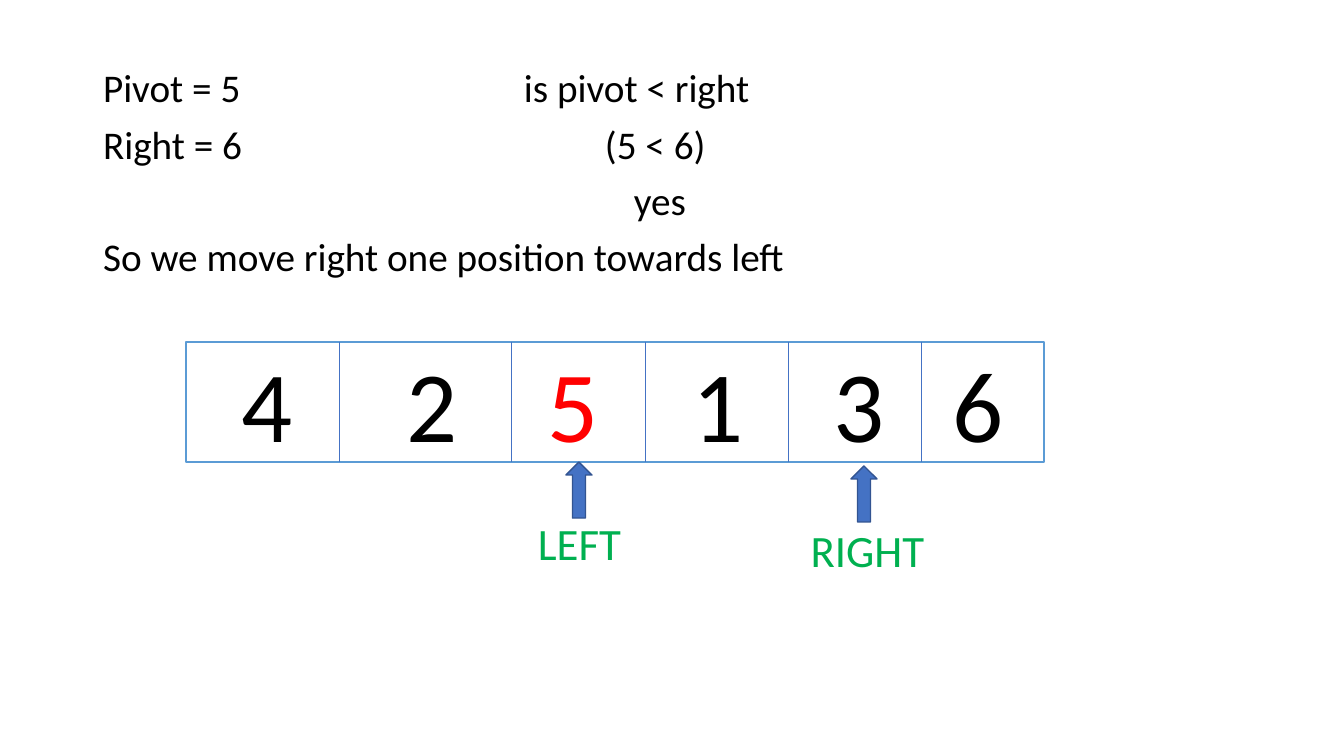
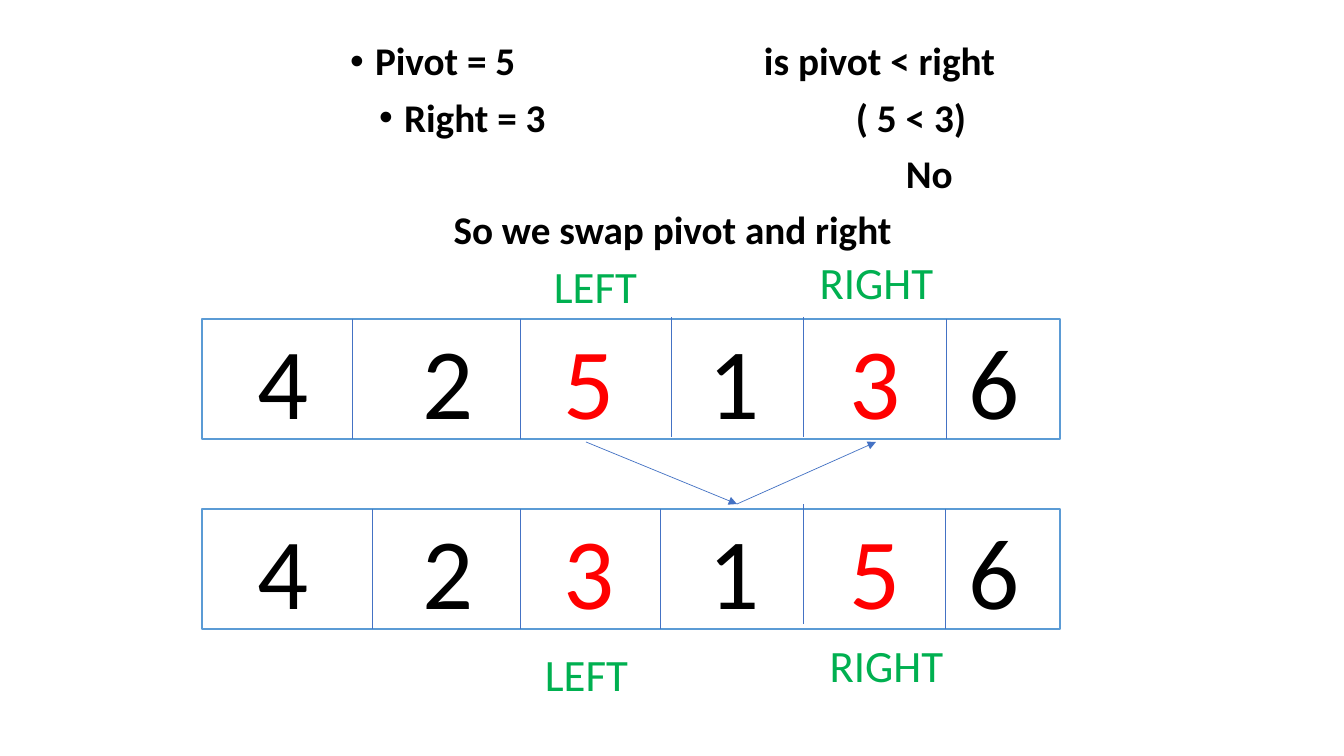
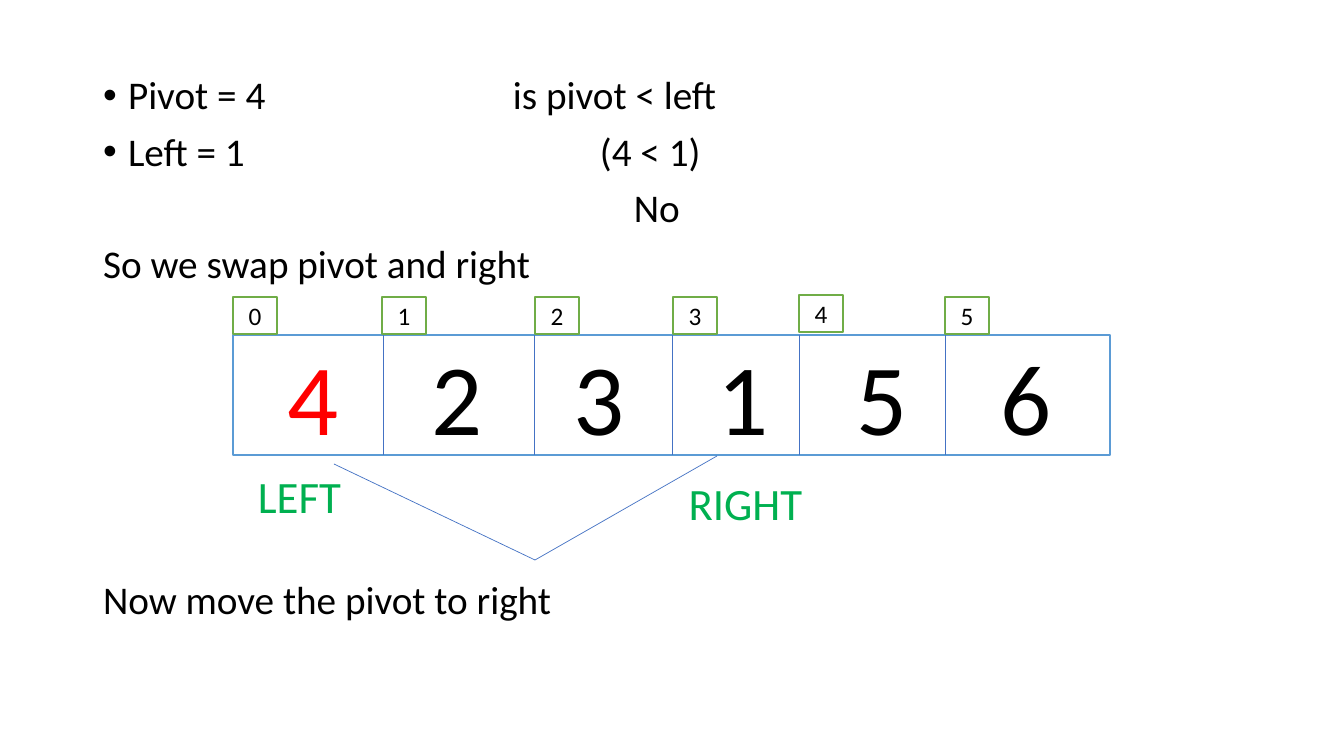
from lxml.etree import SubElement
from pptx import Presentation
from pptx.dml.color import RGBColor
from pptx.enum.shapes import MSO_CONNECTOR, MSO_SHAPE
from pptx.enum.text import MSO_ANCHOR, MSO_AUTO_SIZE, PP_ALIGN
from pptx.oxml.ns import qn
from pptx.util import Emu, Pt

FONT = "Calibri"
BLACK, WHITE, RED, GREEN = "000000", "FFFFFF", "FF0000", "00B050"
BLUE, NAVY, SKY, LEAF = "4472C4", "325491", "5B9BD5", "70AD47"
PITCH = 40  # points from one line of the text to the next
INSET = 10
HIGH = 120  # height of an array
WIDE = {"LEFT": 129, "RIGHT": 159}
SPOTS = [81, 246, 387, 532, 673, 792]  # digit centres in an array
rgb = RGBColor.from_string


def px(n):
    return Emu(round(n * 914400 / 100.8))


def write(par, text, size, hue=BLACK, align=PP_ALIGN.LEFT, bold=False):
    par.text = text
    par.alignment = align
    font = par.font
    font.name, font.size, font.bold = FONT, Pt(size), bold
    font.color.rgb = rgb(hue)


# rows: text, indent, bullet, lines skipped above
# arrays: left, top, width, digits, red digits, digit centres, dividers (x, lift)
# labels: word, centre, top
slides = [
    dict(
        top=64, bold=False, last=PP_ALIGN.LEFT,
        rows=[("Pivot = 5", 0, False, 0), ("Right = 6", 0, False, 0),
              ("So we move right one position towards left", 0, False, 1)],
        ask=514,
        test=[("is pivot < right", 0), ("(5 < 6)", 81), ("yes", 110)],
        arrays=[(186, 342, 858, "425136", "5", SPOTS,
                 [(339, 0), (511, 0), (645, 0), (788, 0), (921, 0)])],
        labels=[("LEFT", 579, 511), ("RIGHT", 867, 518)],
        marks=[(566, 462), (851, 466)], tags=[], bend=[], tips=False),
    dict(
        top=37, bold=True, last=PP_ALIGN.CENTER,
        rows=[("Pivot = 5", 272, True, 0), ("Right = 3", 301, True, 0),
              ("So we swap pivot and right", 0, False, 1)],
        ask=754,
        test=[("is pivot < right", 0), ("( 5 < 3)", 92), ("No", 142)],
        arrays=[(202, 319, 858, "425136", "53", SPOTS,
                 [(352, 0), (520, 0), (671, 2), (803, 2), (946, 0)]),
                (202, 509, 858, "423156", "35", SPOTS,
                 [(372, 0), (520, 0), (660, 0), (803, 5), (945, 0)])],
        labels=[("LEFT", 595, 254), ("RIGHT", 876, 250),
                ("LEFT", 586, 642), ("RIGHT", 886, 633)],
        marks=[], tags=[],
        bend=[(586, 442), (737, 504), (876, 442)], tips=True),
    dict(
        top=71, bold=False, last=PP_ALIGN.LEFT,
        rows=[("Pivot = 4", 25, True, 0), ("Left = 1", 25, True, 0),
              ("So we swap pivot and right", 0, False, 1),
              ("Now move the pivot to right", 0, False, 5)],
        ask=503,
        test=[("is pivot < left", 0), ("(4 < 1)", 87), ("No", 121)],
        arrays=[(233, 335, 877, "423156", "4", [80, 224, 366, 510, 649, 793],
                 [(383, 0), (534, 0), (672, 0), (799, 0), (945, 0)])],
        labels=[("LEFT", 299, 464), ("RIGHT", 745, 471)],
        marks=[],
        tags=[(233, 297), (382, 297), (535, 297),
              (673, 297), (799, 295), (945, 297)],
        bend=[(334, 464), (535, 560), (717, 456)], tips=False),
]

deck = Presentation()
deck.slide_width, deck.slide_height = px(1344), px(756)

for data in slides:
    slide = deck.slides.add_slide(deck.slide_layouts[1])
    shapes = slide.shapes
    title = shapes.title.element
    title.getparent().remove(title)

    body = slide.placeholders[1]
    body.left, body.top = px(93), px(data["top"])
    body.width, body.height = px(1159), px(640)
    ask = shapes.add_textbox(px(data["ask"]), px(data["top"]), px(320), px(180))
    test = [(text, indent, False, 0) for text, indent in data["test"]]
    for box, rows in ((body, data["rows"]), (ask, test)):
        frame = box.text_frame
        frame.word_wrap = True
        frame.auto_size = MSO_AUTO_SIZE.NONE
        for i, (text, indent, bullet, skip) in enumerate(rows):
            par = frame.add_paragraph() if i else frame.paragraphs[0]
            align = data["last"] if skip else PP_ALIGN.LEFT
            write(par, text, 28, align=align, bold=data["bold"])
            par.line_spacing = 0.9
            par.space_before = Pt(10 + skip * PITCH)
            props = par._p.get_or_add_pPr()
            props.set("marL", str(px(indent)))
            props.set("indent", str(px(-25 if bullet else 0)))
            if bullet:
                SubElement(props, qn("a:buFont"), typeface="Arial")
                SubElement(props, qn("a:buChar"), char="•")
            else:
                SubElement(props, qn("a:buNone"))

    lines = []
    for left, top, width, digits, reds, spots, cuts in data["arrays"]:
        array = shapes.add_shape(MSO_SHAPE.RECTANGLE, px(left), px(top),
                                 px(width), px(HIGH))
        array.shadow.inherit = False
        array.fill.solid()
        array.fill.fore_color.rgb = rgb(WHITE)
        array.line.color.rgb = rgb(SKY)
        array.line.width = Pt(1)
        frame = array.text_frame
        frame.margin_left = frame.margin_right = px(INSET)
        frame.margin_top = frame.margin_bottom = 0
        frame.vertical_anchor = MSO_ANCHOR.MIDDLE
        par = frame.paragraphs[0]
        write(par, "", 72)
        stops = SubElement(par._p.get_or_add_pPr(), qn("a:tabLst"))
        # a:tabLst has to stand before a:defRPr
        par._p.pPr.insert(0, stops)
        for digit, spot in zip(digits, spots):
            SubElement(stops, qn("a:tab"), pos=str(px(spot - INSET)), algn="ctr")
            run = par.add_run()
            run.text = "\t" + digit
            run.font.name, run.font.size = FONT, Pt(72)
            run.font.color.rgb = rgb(RED if digit in reds else BLACK)
        for x, lift in cuts:
            lines.append((x, top - lift, x, top + HIGH - lift, False))

    for start, end in zip(data["bend"], data["bend"][1:]):
        lines.append((*start, *end, data["tips"]))
    for x1, y1, x2, y2, tip in lines:
        line = shapes.add_connector(MSO_CONNECTOR.STRAIGHT,
                                    px(x1), px(y1), px(x2), px(y2))
        line.line.color.rgb = rgb(BLUE)
        line.line.width = Pt(0.5)
        if tip:
            SubElement(line.line._get_or_add_ln(), qn("a:tailEnd"), type="triangle")
        SubElement(line._element.spPr, qn("a:effectLst"))

    for x, y in data["marks"]:
        mark = shapes.add_shape(MSO_SHAPE.UP_ARROW, px(x), px(y), px(26), px(56))
        mark.shadow.inherit = False
        mark.fill.solid()
        mark.fill.fore_color.rgb = rgb(BLUE)
        mark.line.color.rgb = rgb(NAVY)
        mark.line.width = Pt(1)

    for i, (x, y) in enumerate(data["tags"]):
        tag = shapes.add_shape(MSO_SHAPE.RECTANGLE, px(x), px(y), px(44), px(37))
        tag.shadow.inherit = False
        tag.fill.solid()
        tag.fill.fore_color.rgb = rgb(WHITE)
        tag.line.color.rgb = rgb(LEAF)
        tag.line.width = Pt(1)
        tag.text_frame.vertical_anchor = MSO_ANCHOR.MIDDLE
        write(tag.text_frame.paragraphs[0], str(i), 18, align=PP_ALIGN.CENTER)

    for word, mid, y in data["labels"]:
        wide = WIDE[word]
        label = shapes.add_textbox(px(mid - wide // 2), px(y), px(wide), px(64))
        label.text_frame.word_wrap = True
        write(label.text_frame.paragraphs[0], word, 32, GREEN, PP_ALIGN.CENTER)

deck.save("out.pptx")
